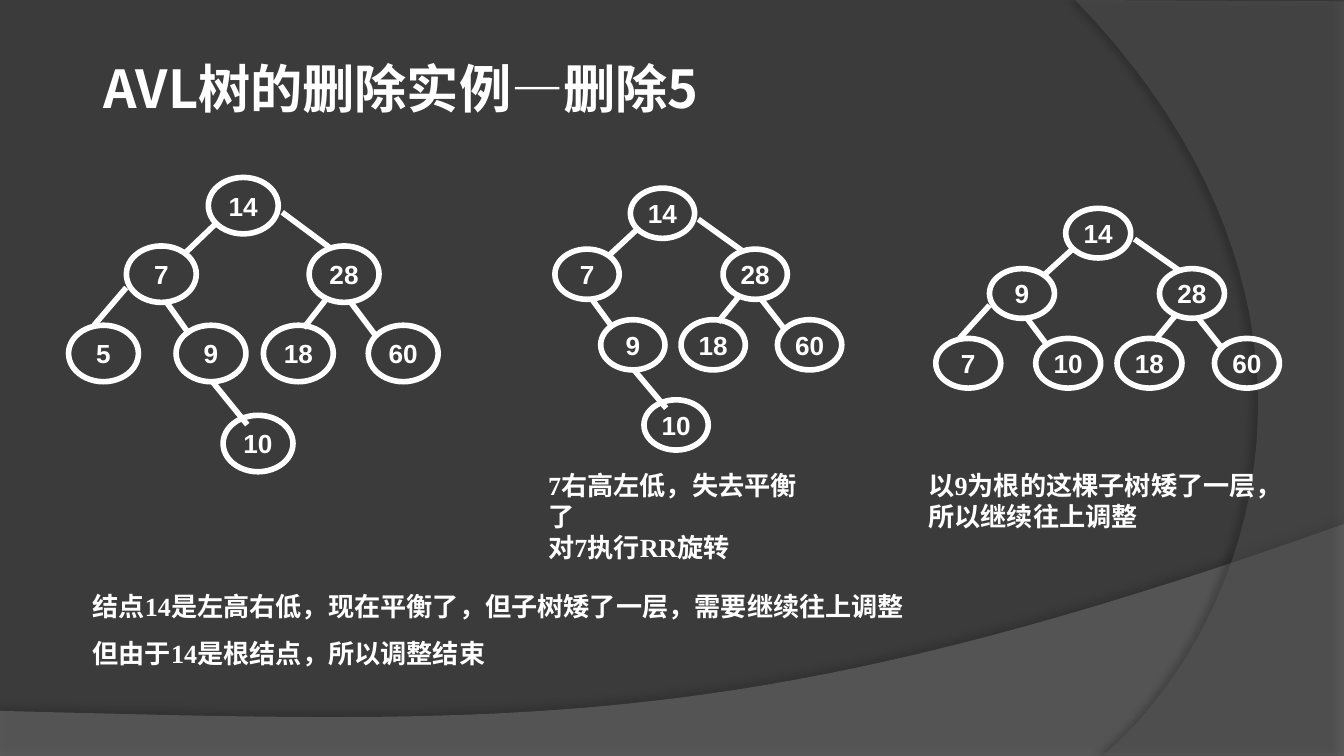
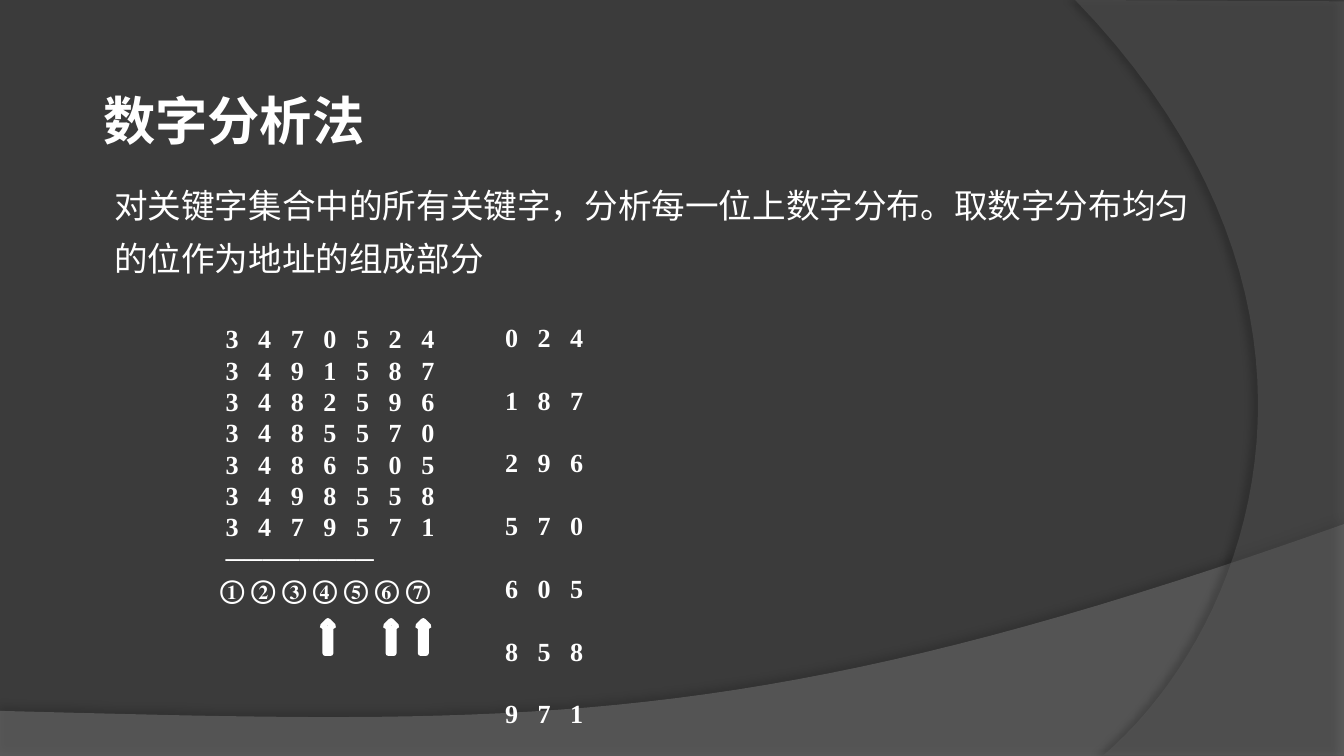
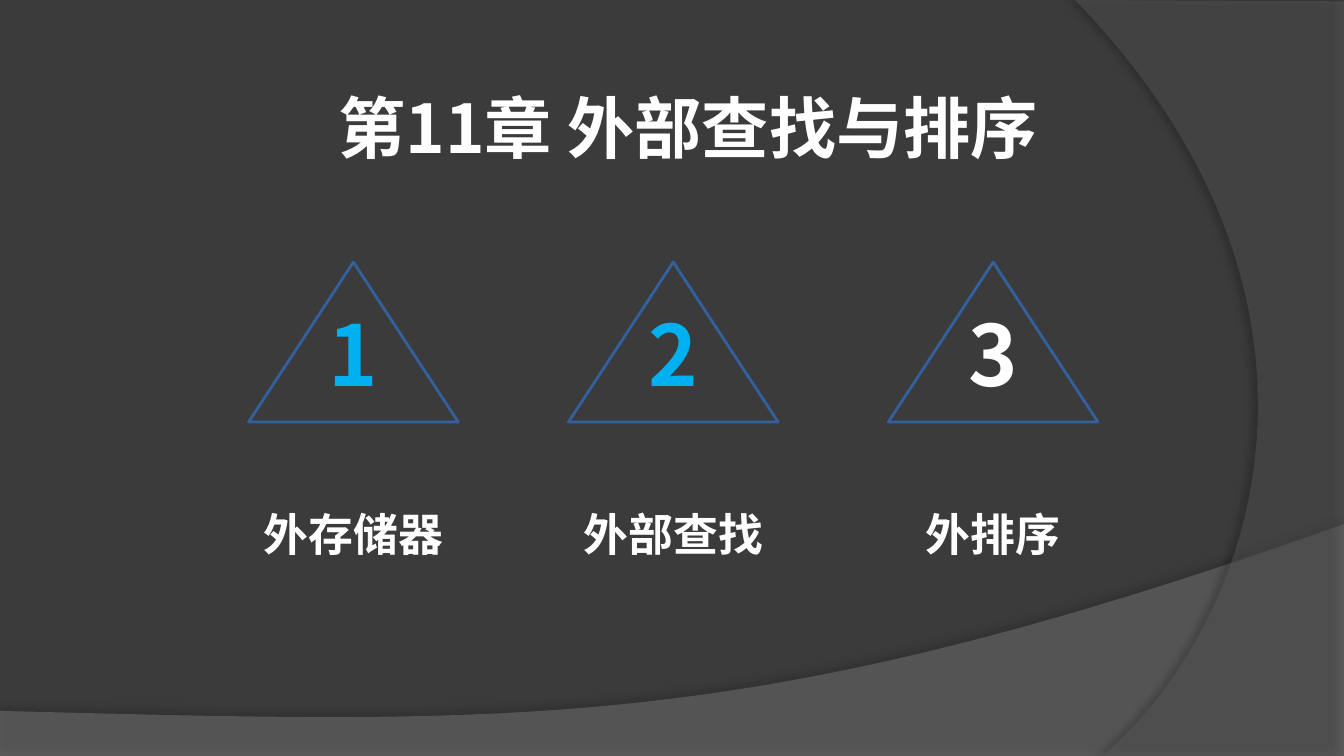
"""Build three slides on AVL deletion, digit analysis and external searching."""
from dataclasses import dataclass, field

from lxml.etree import SubElement
from pptx import Presentation
from pptx.dml.color import RGBColor
from pptx.enum.lang import MSO_LANGUAGE_ID as Language
from pptx.enum.shapes import MSO_CONNECTOR as Connector, MSO_SHAPE as Preset
from pptx.enum.text import MSO_ANCHOR as Anchor, MSO_AUTO_SIZE as AutoSize, PP_ALIGN as Align
from pptx.oxml.ns import qn
from pptx.util import Inches, Pt

COLORS = {
    "background": "3B3B3B", "wave": "7F7F7F", "arc": "5E5E5E", "shadow": "000000",
    "ink": "FFFFFF", "triangle": "33619F", "accent": "00B0F0",
}
SANS, SERIF, ARIAL = "Noto Sans CJK SC", "Times New Roman", "Arial"
TITLE = {"name": SANS, "size": Pt(28), "bold": True}
CHAPTER = {"name": SANS, "size": Pt(36), "bold": True}
NUMERAL = {"name": SANS, "size": Pt(45), "bold": True}
TOPIC = {"name": SANS, "size": Pt(24), "bold": True}
BODY = {"name": ARIAL, "size": Pt(18), "bold": False}
NOTE = {"name": SERIF, "size": Pt(14), "bold": True}
KEY = {"name": ARIAL, "size": Pt(14), "bold": True}

Point = tuple[float, float]


@dataclass
class Band:
    """A translucent background band: straight corners, then one curve."""
    color: str
    alpha: int
    corners: list[Point]
    curve: list[Point]
    shadow_alpha: int
    shadow_distance: float
    shadow_angle: int


@dataclass
class Line:
    """A paragraph with its own indent and letter spacing."""
    text: str
    indent: float = 0
    tracking: float = 0


@dataclass
class Caption:
    """A text box and its format."""
    left: float
    top: float
    width: float
    height: float
    lines: list[Line]
    font: dict
    paragraph: dict = field(default_factory=dict)
    color: str = "ink"
    anchor: Anchor = Anchor.TOP


@dataclass
class Slot:
    """A place in the tree and the branch leading to it, measured from the root."""
    x: float
    y: float
    branch: tuple[Point, Point] | None = None


@dataclass
class Tree:
    """A tree with its root corner, scale and keys by slot."""
    left: float
    top: float
    scale_x: float
    scale_y: float
    keys: dict[str, str]


BANDS = [
    Band("wave", 45, [(0, 5.29), (0, 5.63), (10, 5.63), (10, 3.9)],
         [(5.59, 5.47), (3.91, 5.39), (0, 5.29)], 35, 3.5, 270),
    Band("arc", 40, [(8, 0), (10, 0.01), (10, 5.62), (8.21, 5.62)],
         [(9.35, 4.64), (10.18, 2.25), (8, 0)], 45, 4, 180),
]
NODE_WIDTH, NODE_HEIGHT = 0.52, 0.42
SLOTS = {
    "root": Slot(0, 0),
    "left": Slot(-0.61, 0.51, ((0.06, 0.34), (-0.18, 0.57))),
    "right": Slot(0.75, 0.51, ((0.55, 0.26), (0.9, 0.52))),
    "left-left": Slot(-1.04, 1.1, ((-0.61, 0.82), (-0.85, 1.1))),
    "left-right": Slot(-0.24, 1.1, ((-0.31, 0.93), (-0.14, 1.17))),
    "right-left": Slot(0.41, 1.1, ((0.89, 0.89), (0.71, 1.12))),
    "right-right": Slot(1.19, 1.1, ((1.06, 0.93), (1.24, 1.17))),
    "deepest": Slot(0.11, 1.77, ((0.03, 1.52), (0.29, 1.84))),
}
STABLE_KEYS = {"root": "14", "right": "28", "right-left": "18", "right-right": "60"}
TREES = [
    Tree(1.55, 1.32, 1, 1, STABLE_KEYS | {
        "left": "7", "left-left": "5", "left-right": "9", "deepest": "10"}),
    Tree(4.69, 1.4, 0.92, 0.89, STABLE_KEYS | {
        "left": "7", "left-right": "9", "deepest": "10"}),
    Tree(7.93, 1.55, 0.93, 0.88, STABLE_KEYS | {
        "left": "9", "left-left": "7", "left-right": "10"}),
]
KEYWORDS = ["3470524", "3491587", "3482596", "3485570", "3486505", "3498558", "3479571"]
CHOSEN_DIGITS = (3, 5, 6)
ARROW_LEFTS = (2.4, 2.87, 3.11)
TOPICS = [("外存储器", "accent"), ("外部查找", "accent"), ("外排序", "ink")]


def rgb(name: str) -> RGBColor:
    return RGBColor.from_string(COLORS[name])


def apply(target, values: dict) -> None:
    for attribute, value in values.items():
        setattr(target, attribute, value)


def style_run(run, font: dict, color: str) -> None:
    apply(run.font, font | {"language_id": Language.SIMPLIFIED_CHINESE})
    run.font.color.rgb = rgb(color)


def bezier(points: list[Point], steps: int = 40) -> list[Point]:
    weights = [((1 - t) ** 3, 3 * t * (1 - t) ** 2, 3 * t * t * (1 - t), t ** 3)
               for t in (step / steps for step in range(1, steps + 1))]
    return [tuple(sum(w * point[axis] for w, point in zip(row, points)) for axis in (0, 1))
            for row in weights]


def add_band(slide, band: Band):
    outline = band.corners + bezier([band.corners[-1], *band.curve])
    vertices = [(Inches(x), Inches(y)) for x, y in outline]
    builder = slide.shapes.build_freeform(*vertices[0])
    builder.add_line_segments(vertices[1:])
    shape = builder.convert_to_shape()
    shape.fill.solid()
    shape.fill.fore_color.rgb = rgb(band.color)
    shape.line.fill.background()
    shape.shadow.inherit = False
    paint = shape.element.spPr.find(f"{qn('a:solidFill')}/{qn('a:srgbClr')}")
    SubElement(paint, qn("a:alpha"), val=str(band.alpha * 1000))
    shadow = SubElement(
        shape.element.spPr.find(qn("a:effectLst")), qn("a:outerShdw"), blurRad=str(Pt(4)),
        dist=str(Pt(band.shadow_distance)), dir=str(band.shadow_angle * 60000), rotWithShape="0")
    tint = SubElement(shadow, qn("a:srgbClr"), val=COLORS["shadow"])
    SubElement(tint, qn("a:alpha"), val=str(band.shadow_alpha * 1000))
    return shape


def dress_master(master, slide) -> None:
    master.background.fill.solid()
    master.background.fill.fore_color.rgb = rgb("background")
    for number, band in enumerate(BANDS, start=100):
        element = add_band(slide, band).element
        element.nvSpPr.cNvPr.set("id", str(number))
        master.shapes.element.append(element)


def add_caption(slide, caption: Caption) -> None:
    box = slide.shapes.add_textbox(Inches(caption.left), Inches(caption.top),
                                   Inches(caption.width), Inches(caption.height))
    frame = box.text_frame
    apply(frame, {"word_wrap": True, "auto_size": AutoSize.SHAPE_TO_FIT_TEXT,
                  "vertical_anchor": caption.anchor})
    for index, line in enumerate(caption.lines):
        paragraph = frame.add_paragraph() if index else frame.paragraphs[0]
        apply(paragraph, caption.paragraph)
        run = paragraph.add_run()
        run.text = line.text
        style_run(run, caption.font, caption.color)
        if line.indent:
            paragraph._p.get_or_add_pPr().set("marL", str(Inches(line.indent)))
        if line.tracking:
            run._r.get_or_add_rPr().set("spc", str(int(line.tracking * 100)))


def add_outline(slide, preset: Preset, left: float, top: float, width: float, height: float,
                color: str, weight: float):
    shape = slide.shapes.add_shape(preset, Inches(left), Inches(top),
                                   Inches(width), Inches(height))
    shape.shadow.inherit = False
    shape.fill.background()
    shape.line.color.rgb = rgb(color)
    shape.line.width = Pt(weight)
    return shape


def add_node(slide, key: str, left: float, top: float, width: float, height: float) -> None:
    node = add_outline(slide, Preset.OVAL, left, top, width, height, "ink", 3)
    frame = node.text_frame
    apply(frame, {"margin_left": 0, "margin_right": 0, "margin_top": Inches(0.03),
                  "margin_bottom": Inches(0.03), "vertical_anchor": Anchor.MIDDLE})
    paragraph = frame.paragraphs[0]
    paragraph.alignment = Align.CENTER
    run = paragraph.add_run()
    run.text = key
    style_run(run, KEY, "ink")


def add_branch(slide, start: Point, end: Point) -> None:
    branch = slide.shapes.add_connector(
        Connector.STRAIGHT, *(Inches(value) for value in (*start, *end)))
    branch.line.color.rgb = rgb("ink")
    branch.line.width = Pt(3)
    SubElement(branch.element.spPr, qn("a:effectLst"))


def add_tree(slide, tree: Tree) -> None:
    def place(x: float, y: float) -> Point:
        return tree.left + x * tree.scale_x, tree.top + y * tree.scale_y

    for name, key in tree.keys.items():
        slot = SLOTS[name]
        add_node(slide, key, *place(slot.x, slot.y),
                 NODE_WIDTH * tree.scale_x, NODE_HEIGHT * tree.scale_y)
    for name in tree.keys:
        if SLOTS[name].branch:
            start, end = SLOTS[name].branch
            add_branch(slide, place(*start), place(*end))


def build_deletion(slide) -> None:
    captions = [
        Caption(0.67, 0.37, 5.69, 0.57, [Line("AVL树的删除实例—删除5")], TITLE),
        Caption(0.59, 4.23, 6.46, 0.81,
                [Line("结点14是左高右低，现在平衡了，但子树矮了一层，需要继续往上调整"),
                 Line("但由于14是根结点，所以调整结束")], NOTE, {"line_spacing": 1.5}),
        Caption(3.98, 3.44, 2.16, 0.57,
                [Line("7右高左低，失去平衡了"), Line("对7执行RR旋转")], NOTE),
        Caption(6.81, 3.44, 2.95, 0.57,
                [Line("以9为根的这棵子树矮了一层，所以继续往上调整")], NOTE),
    ]
    for caption in captions:
        add_caption(slide, caption)
    for tree in TREES:
        add_tree(slide, tree)


def build_digit_analysis(slide) -> None:
    keyword_lines = [Line(" ".join(keyword), 0.44, 3.5) for keyword in KEYWORDS]
    rule, positions = Line("────────", 0.44), Line("① ② ③ ④ ⑤ ⑥ ⑦", 0.4)
    addresses = [Line(" ".join(keyword[digit] for digit in CHOSEN_DIGITS), tracking=3.5)
                 for keyword in KEYWORDS]
    captions = [
        Caption(0.67, 0.37, 7.48, 0.72, [Line("数字分析法")], TITLE, {"line_spacing": 1.5}),
        Caption(0.75, 1.24, 8.35, 0.85,
                [Line("对关键字集合中的所有关键字，分析每一位上数字分布。"
                      "取数字分布均匀的位作为地址的组成部分")], BODY, {"line_spacing": 1.3}),
        Caption(1.14, 2.34, 2.68, 2.22, [*keyword_lines, rule, positions], NOTE,
                anchor=Anchor.MIDDLE),
        Caption(3.66, 2.34, 0.94, 1.75, addresses, NOTE, {"space_after": Pt(16.8)}),
    ]
    for caption in captions:
        add_caption(slide, caption)
    for left in ARROW_LEFTS:
        add_outline(slide, Preset.UP_ARROW, left, 4.62, 0.08, 0.24, "ink", 3)


def build_chapter(slide) -> None:
    centered = {"alignment": Align.CENTER}
    add_caption(slide, Caption(2.09, 0.44, 6.06, 0.83, [Line("第11章 外部查找与排序")],
                               CHAPTER, centered | {"line_spacing": 1.25}))
    for index, (topic, color) in enumerate(TOPICS):
        center = 2.63 + 2.38 * index
        add_caption(slide, Caption(center - 0.83, 3.52, 1.66, 0.64, [Line(topic)],
                                   TOPIC, centered | {"line_spacing": 1.5}))
        add_outline(slide, Preset.ISOSCELES_TRIANGLE, center - 0.78, 1.95, 1.56, 1.19,
                    "triangle", 1.5)
        add_caption(slide, Caption(center - 0.74, 2.2, 1.48, 0.86, [Line(str(index + 1))],
                                   NUMERAL, centered, color))


def main() -> None:
    deck = Presentation()
    deck.slide_width, deck.slide_height = Inches(10), Inches(10 * 9 / 16)
    builders = (build_deletion, build_digit_analysis, build_chapter)
    slides = [deck.slides.add_slide(deck.slide_layouts[6]) for _ in builders]
    dress_master(deck.slide_master, slides[0])
    for build, slide in zip(builders, slides):
        build(slide)
    deck.save("out.pptx")


if __name__ == "__main__":
    main()
